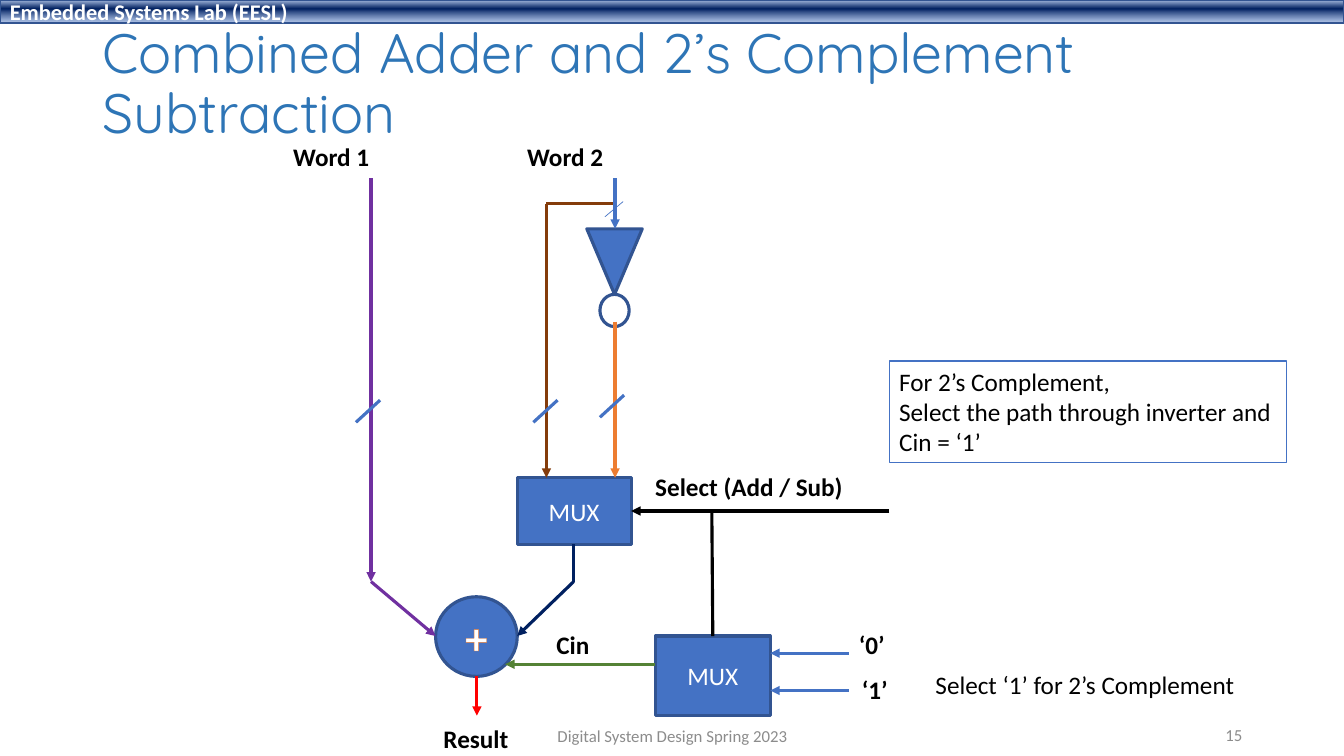
from pptx import Presentation
from pptx.dml.color import RGBColor
from pptx.enum.shapes import MSO_CONNECTOR, MSO_SHAPE
from pptx.enum.text import MSO_ANCHOR, PP_ALIGN
from pptx.oxml import parse_xml
from pptx.oxml.ns import nsdecls, qn
from pptx.util import Inches, Pt

BLUE, EDGE, NAVY = "4472C4", "325491", "002060"
PURPLE, BROWN, ORANGE = "7030A0", "843C0B", "ED7D31"
GREEN, RED, BLACK, WHITE, GREY = "548235", "FF0000", "000000", "FFFFFF", "8C8C8C"


def color(code):
    return RGBColor.from_string(code)


def write(shape, text, size=18, tint=BLACK, bold=False, font="Calibri",
          align=PP_ALIGN.LEFT, anchor=MSO_ANCHOR.TOP, wrap=True):
    frame = shape.text_frame
    frame.text = text
    frame.word_wrap = wrap
    frame.vertical_anchor = anchor
    for par in frame.paragraphs:
        par.alignment = align
        for run in par.runs:
            run.font.size = Pt(size)
            run.font.name = font
            run.font.bold = bold
            run.font.color.rgb = color(tint)
    return frame


def add_text(slide, box, text, **style):
    shape = slide.shapes.add_textbox(*map(Inches, box))
    return write(shape, text, **style)


def add_label(slide, left, top, width, text, bold=True):
    add_text(slide, (left, top, width, 0.4), text, bold=bold, wrap=False)


def add_block(slide, kind, box, fill=BLUE, edge=EDGE, width=2.25):
    shape = slide.shapes.add_shape(kind, *map(Inches, box))
    shape.shadow.inherit = False
    if fill:
        shape.fill.solid()
        shape.fill.fore_color.rgb = color(fill)
    else:
        shape.fill.background()
    shape.line.color.rgb = color(edge)
    shape.line.width = Pt(width)
    return shape


def add_wire(slide, start, end, tint, arrow=False, width=2.25):
    wire = slide.shapes.add_connector(
        MSO_CONNECTOR.STRAIGHT, *map(Inches, start + end))
    wire.line.color.rgb = color(tint)
    wire.line.width = Pt(width)
    if arrow:
        wire.line._get_or_add_ln().append(
            parse_xml(f'<a:tailEnd {nsdecls("a")} type="triangle"/>'))
    wire._element.spPr.append(parse_xml(f'<a:effectLst {nsdecls("a")}/>'))


def add_path(slide, points, tint, arrows):
    """Join the points with wires; arrows tells which wires end in a head."""
    for start, end, arrow in zip(points, points[1:], arrows):
        add_wire(slide, start, end, tint, arrow)


def add_mux(slide, box):
    shape = add_block(slide, MSO_SHAPE.RECTANGLE, box)
    write(shape, "MUX", tint=WHITE, align=PP_ALIGN.CENTER,
          anchor=MSO_ANCHOR.MIDDLE)


def add_adder(slide):
    shape = add_block(slide, MSO_SHAPE.OVAL, (4.32, 5.92, 0.81, 0.79))
    frame = write(shape, "+", 32, WHITE, True, align=PP_ALIGN.CENTER,
                  anchor=MSO_ANCHOR.MIDDLE)
    props = frame.paragraphs[0].runs[0]._r.get_or_add_rPr()
    props.insert(0, parse_xml(
        f'<a:ln {nsdecls("a")} w="{Pt(0.52)}"><a:solidFill>'
        f'<a:srgbClr val="{ORANGE}"/></a:solidFill></a:ln>'))


def add_inverter(slide):
    cone = add_block(slide, MSO_SHAPE.ISOSCELES_TRIANGLE,
                     (5.82, 2.27, 0.55, 0.65))
    cone.rotation = 180
    add_block(slide, MSO_SHAPE.OVAL, (5.95, 2.92, 0.29, 0.32), fill=None)


def add_banner(slide):
    bar = add_block(slide, MSO_SHAPE.RECTANGLE, (0, 0, 13.33, 0.23), width=1)
    stops = ((2, "ABC0E4", 100), (38, NAVY, 100), (93, "7E9ED6", 64))
    marks = "".join(
        f'<a:gs pos="{pos * 1000}"><a:srgbClr val="{code}">'
        f'<a:alpha val="{alpha * 1000}"/></a:srgbClr></a:gs>'
        for pos, code, alpha in stops)
    props = bar._element.spPr
    props.replace(props.find(qn("a:solidFill")), parse_xml(
        f'<a:gradFill {nsdecls("a")} rotWithShape="1"><a:gsLst>{marks}</a:gsLst>'
        '<a:lin ang="5400000" scaled="0"/></a:gradFill>'))
    write(bar, "Embedded Systems Lab (EESL)", 16, WHITE, True,
          anchor=MSO_ANCHOR.MIDDLE)


def add_wires(slide):
    add_path(slide, [(3.68, 1.77), (3.68, 5.77), (4.32, 6.31)],
             PURPLE, (True, True))
    add_path(slide, [(6.1, 2.02), (5.42, 2.02), (5.42, 4.74)],
             BROWN, (False, True))
    add_path(slide, [(5.69, 5.4), (5.69, 5.77), (5.13, 6.31)],
             NAVY, (False, True))
    add_wire(slide, (6.1, 3.19), (6.1, 4.74), ORANGE, True)
    add_wire(slide, (6.1, 1.77), (6.1, 2.27), BLUE, True)
    add_wire(slide, (6.5, 6.59), (5.01, 6.59), GREEN, True)
    add_wire(slide, (8.82, 5.07), (6.26, 5.07), BLACK, True)
    add_wire(slide, (7.07, 6.31), (7.06, 5.07), BLACK)
    add_wire(slide, (4.73, 6.71), (4.73, 7.1), RED, True)
    for top in (6.48, 6.85):
        add_wire(slide, (8.42, top), (7.64, top), BLUE, True)
    for left, top in ((3.53, 3.97), (5.29, 3.97), (5.95, 3.92)):
        add_wire(slide, (left + 0.24, top), (left, top + 0.22), BLUE)
    add_wire(slide, (6, 2.15), (6.18, 2), BLUE, width=0.5)


def add_labels(slide):
    for left, top, width, text in (
            (2.81, 1.35, 0.96, "Word 1"),
            (5.13, 1.35, 0.96, "Word 2"),
            (6.4, 4.63, 2.08, "Select (Add / Sub)"),
            (5.42, 6.19, 0.53, "Cin"),
            (8.42, 6.19, 0.46, "‘0’"),
            (8.45, 6.64, 0.46, "‘1’"),
            (4.3, 7.13, 0.85, "Result")):
        add_label(slide, left, top, width, text)
    add_label(slide, 9.18, 6.59, 3.2, "Select ‘1’ for 2’s Complement", False)


def add_note(slide):
    note = add_block(slide, MSO_SHAPE.RECTANGLE, (8.82, 3.58, 3.94, 1.01),
                     WHITE, BLUE, 1)
    write(note, "For 2’s Complement,\nSelect the path through inverter and\n"
          "Cin = ‘1’", wrap=False)


def main():
    deck = Presentation()
    deck.slide_width, deck.slide_height = Inches(13.33), Inches(7.5)
    slide = deck.slides.add_slide(deck.slide_layouts[6])
    add_banner(slide)
    title = add_text(slide, (0.92, 0.4, 11.5, 0.9),
                     "Combined Adder and 2’s Complement Subtraction",
                     size=39.6, tint="2E75B6", font="Quicksand",
                     anchor=MSO_ANCHOR.MIDDLE)
    title.paragraphs[0].line_spacing = 0.9
    add_inverter(slide)
    add_mux(slide, (5.13, 4.74, 1.13, 0.66))
    add_mux(slide, (6.5, 6.31, 1.14, 0.79))
    add_adder(slide)
    add_wires(slide)
    add_labels(slide)
    add_note(slide)
    add_text(slide, (4.42, 7.1, 4.5, 0.4), "Digital System Design Spring 2023",
             size=12, tint=GREY, align=PP_ALIGN.CENTER,
             anchor=MSO_ANCHOR.MIDDLE)
    add_text(slide, (9.42, 7.09, 3, 0.4), "15", size=12, tint=GREY,
             align=PP_ALIGN.RIGHT, anchor=MSO_ANCHOR.MIDDLE)
    deck.save("out.pptx")


if __name__ == "__main__":
    main()
